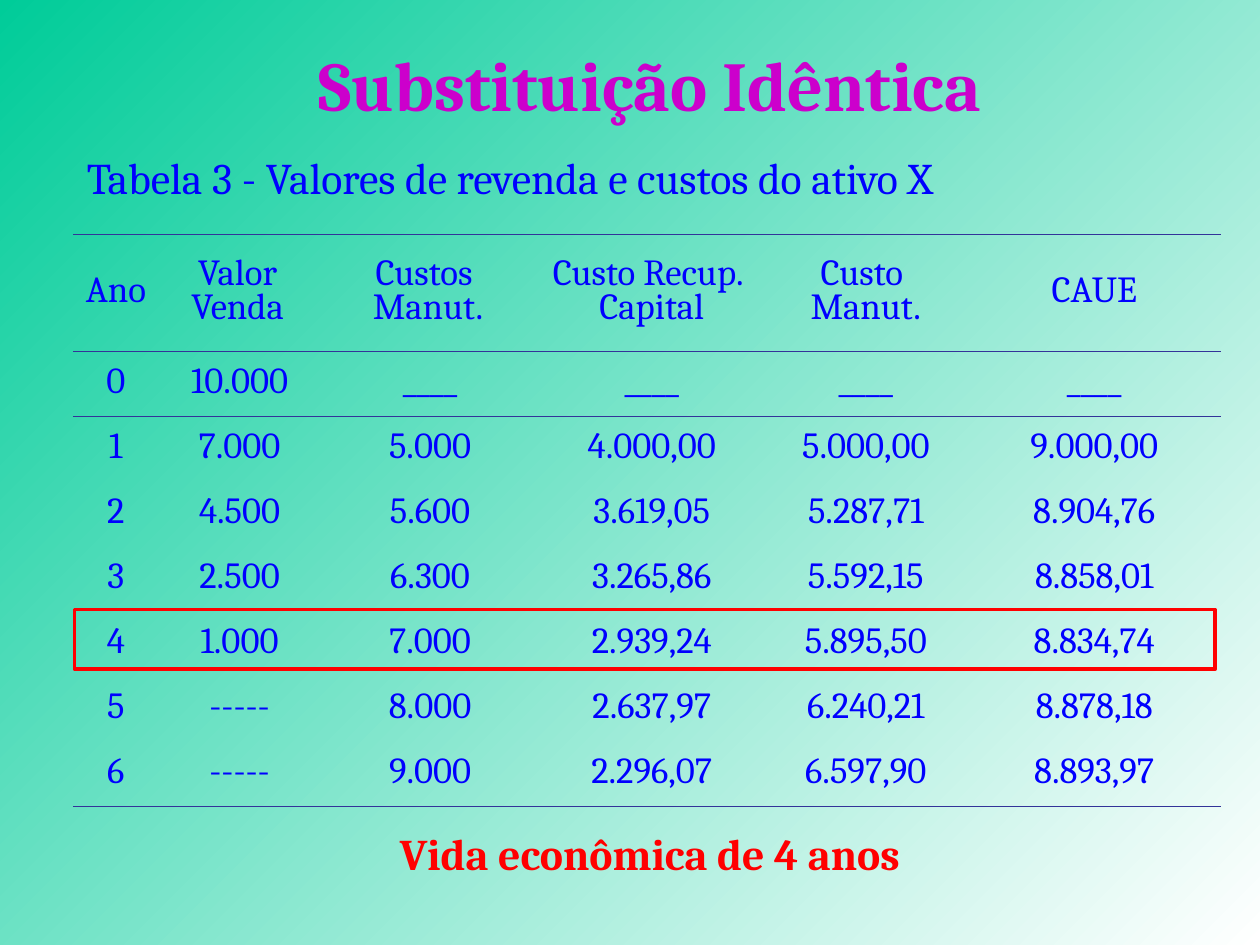
from lxml import etree
from pptx import Presentation
from pptx import util as u
from pptx.dml.color import RGBColor
from pptx.enum import shapes, text
from pptx.oxml import ns

GREEN = RGBColor(0x00, 0xCC, 0x99)
WHITE = RGBColor(0xFF, 0xFF, 0xFF)
BLUE = RGBColor(0x00, 0x00, 0xFF)
PURPLE = RGBColor(0xCC, 0x00, 0xCC)
RED = RGBColor(0xFF, 0x00, 0x00)
RULE = RGBColor(0x33, 0x33, 0x99)
FONT = "Cambria"
NO_STYLE_NO_GRID = "{2D5ABB26-0587-4C30-8999-92F81FD0307C}"

HEADERS = ["Ano", "Valor\nVenda", "Custos \nManut.", "Custo Recup. \nCapital",
           "Custo \nManut.", "CAUE"]
DATA = [
    ["0", "10.000", "____", "____", "____", "____"],
    ["1", "7.000", "5.000", "4.000,00", "5.000,00", "9.000,00"],
    ["2", "4.500", "5.600", "3.619,05", "5.287,71", "8.904,76"],
    ["3", "2.500", "6.300", "3.265,86", "5.592,15", "8.858,01"],
    ["4", "1.000", "7.000", "2.939,24", "5.895,50", "8.834,74"],
    ["5", "-----", "8.000", "2.637,97", "6.240,21", "8.878,18"],
    ["6", "-----", "9.000", "2.296,07", "6.597,90", "8.893,97"],
]
COLUMN_WIDTHS = [1.73, 3.18, 0.08, 4.42, 4.52, 4.11, 5.1]
HEADER_HEIGHT, ROW_HEIGHT = 2.36, 1.31
TABLE_LEFT, TABLE_TOP = 1.47, 4.72


def write(frame, content, size, color=BLUE, bold=False,
          align=text.PP_ALIGN.CENTER, spacing=None):
    frame.text = content
    frame.word_wrap = True
    for paragraph in frame.paragraphs:
        paragraph.alignment = align
        paragraph.line_spacing = spacing
        paragraph.font.name = FONT
        paragraph.font.size = u.Pt(size)
        paragraph.font.bold = bold
        paragraph.font.color.rgb = color


def add_rule(cell, side):
    """Draw a thin border on one side ("T" or "B") of a cell."""
    properties = cell._tc.get_or_add_tcPr()
    line = etree.SubElement(properties, ns.qn(f"a:ln{side}"), w=str(u.Pt(0.45)))
    fill = etree.SubElement(line, ns.qn("a:solidFill"))
    etree.SubElement(fill, ns.qn("a:srgbClr"), val=str(RULE))


presentation = Presentation()
presentation.slide_width, presentation.slide_height = u.Cm(25.4), u.Cm(19.05)
slide = presentation.slides.add_slide(presentation.slide_layouts[5])

background = slide.background.fill
background.gradient()
background.gradient_angle = 315
for stop, color in zip(background.gradient_stops, (GREEN, WHITE)):
    stop.color.rgb = color

# Title
title = slide.shapes.title
title.left, title.top, title.width, title.height = map(u.Cm, (1.3, 0.71, 23.6, 1.96))
title.text_frame.auto_size = text.MSO_AUTO_SIZE.NONE
title.text_frame.vertical_anchor = text.MSO_ANCHOR.TOP
write(title.text_frame, "Substituição Idêntica", 40, PURPLE, bold=True)

# Table: the narrow third column joins the fourth in the header, the second below
row_count = len(DATA) + 1
table_frame = slide.shapes.add_table(
    row_count, len(COLUMN_WIDTHS), u.Cm(TABLE_LEFT), u.Cm(TABLE_TOP),
    u.Cm(sum(COLUMN_WIDTHS)), u.Cm(HEADER_HEIGHT + len(DATA) * ROW_HEIGHT))
table = table_frame.table
table.first_row = table.horz_banding = False
table._tbl.tblPr.find(ns.qn("a:tableStyleId")).text = NO_STYLE_NO_GRID
for column, width in zip(table.columns, COLUMN_WIDTHS):
    column.width = u.Cm(width)

for r, values in enumerate([HEADERS] + DATA):
    table.rows[r].height = u.Cm(ROW_HEIGHT if r else HEADER_HEIGHT)
    merge_start = 1 if r else 2
    table.cell(r, merge_start).merge(table.cell(r, merge_start + 1))
    for cell in table.rows[r].cells:
        if r <= 1:
            add_rule(cell, "T")
        if r in (0, row_count - 1):
            add_rule(cell, "B")
        cell.fill.background()
    visible_cells = [cell for cell in table.rows[r].cells if not cell.is_spanned]
    for cell, value in zip(visible_cells, values):
        cell.vertical_anchor = text.MSO_ANCHOR.MIDDLE
        cell.margin_left = cell.margin_right = u.Cm(0.1)
        write(cell.text_frame, value, 21, spacing=0.8)

# Caption and conclusion
caption = slide.shapes.add_textbox(u.Cm(1.5), u.Cm(2.92), u.Cm(23.2), u.Cm(2.2))
write(caption.text_frame, "Tabela 3 - Valores de revenda e custos do ativo X", 25,
      align=text.PP_ALIGN.JUSTIFY)
conclusion = slide.shapes.add_textbox(u.Cm(1.5), u.Cm(16.54), u.Cm(23.2), u.Cm(1.6))
write(conclusion.text_frame, "Vida econômica de 4 anos", 25, RED, bold=True)

# Frame around the year of lowest cost
highlight = slide.shapes.add_shape(shapes.MSO_SHAPE.RECTANGLE, u.Cm(1.5), u.Cm(12.29),
                                   u.Cm(23), u.Cm(1.2))
highlight.shadow.inherit = False
highlight.fill.background()
highlight.line.color.rgb = RED
highlight.line.width = u.Pt(2)

presentation.save("out.pptx")
